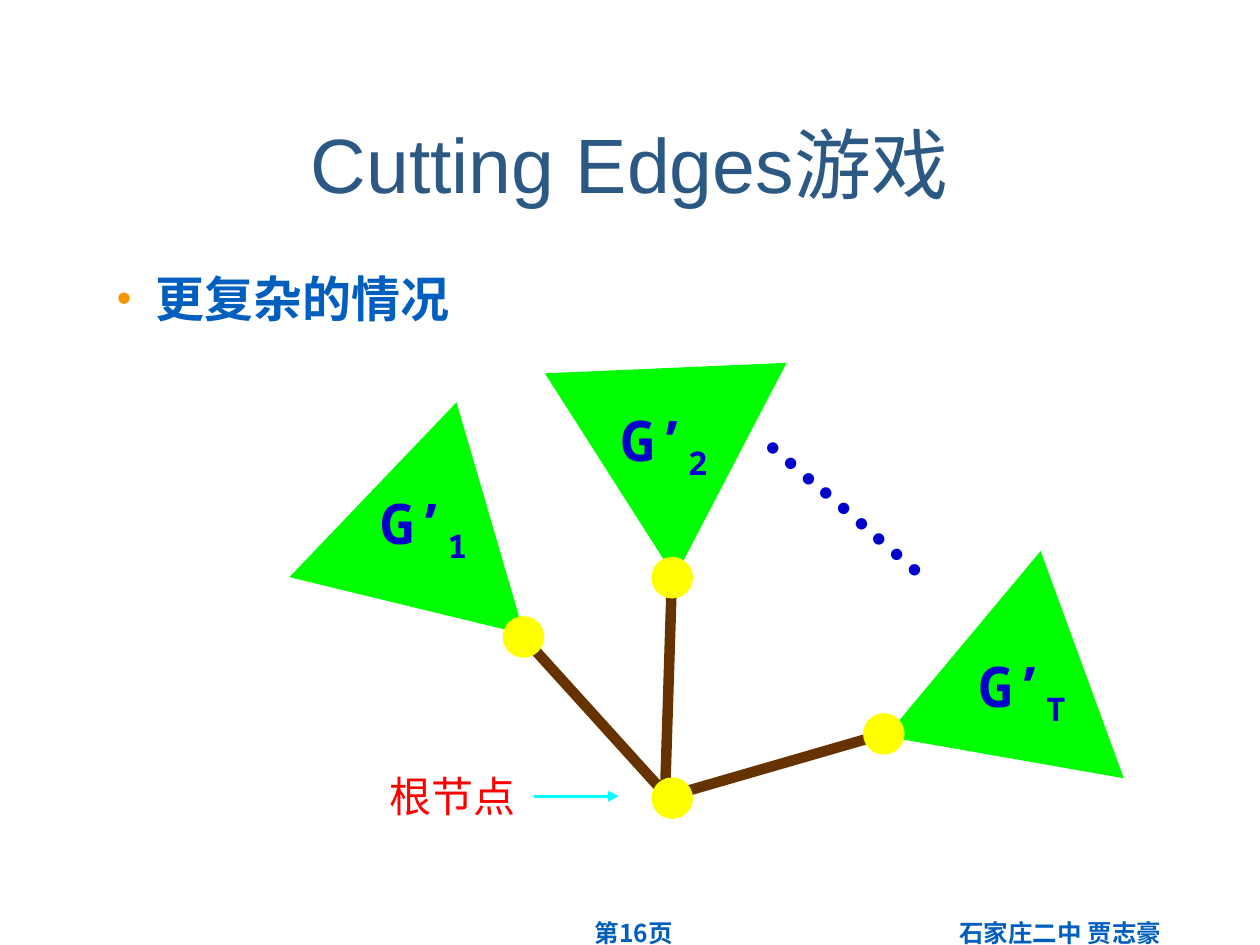
"""Build the slide on the Cutting Edges game with three subtrees joined at a root."""
from typing import NamedTuple

from lxml import etree
from pptx import Presentation
from pptx.dml.color import RGBColor
from pptx.enum import shapes, text
from pptx.oxml import ns
from pptx.util import Inches, Pt

COLORS = {
    "title": "2C5884", "text": "005FBE", "bullet": "F89400", "branch": "663300",
    "subtree": "00FF00", "node": "FFFF00", "label": "0000CC", "root": "FF0000",
    "arrow": "00FFFF",
}
NODE_SIZE = 0.33
TRIANGLE_SIZE = (1.92, 1.66)
LABEL_SIZE = (1.25, 0.71)


class Style(NamedTuple):
    font: str
    size: float
    color: str
    bold: bool = False


class Subtree(NamedTuple):
    subscript: str
    branch: tuple[float, float, float, float]
    triangle: tuple[float, float]
    rotation: float
    node: tuple[float, float]
    label: tuple[float, float]


class Caption(NamedTuple):
    content: str
    box: tuple[float, float, float, float]
    style: Style
    centered: bool = False
    rotation: float = 0


SUBTREES = [
    Subtree("1", (4.21, 5.12, 5.27, 6.29), (2.6, 3.63), 133.7, (3.99, 4.89), (2.92, 3.83)),
    Subtree("2", (5.33, 4.67, 5.28, 6.25), (4.36, 2.92), 177.5, (5.17, 4.42), (4.83, 3.17)),
    Subtree("T", (6.93, 5.85, 5.41, 6.29), (6.85, 4.73), 249.9, (6.85, 5.66), (7.67, 5.12)),
]
LABEL_STYLE = Style("Noto Sans Mono", 32, "label", True)
CAPTIONS = [
    Caption("石家庄二中 贾志豪", (6.83, 7.24, 3.17, 0.52), Style("Arial", 14, "text", True), True),
    Caption("第16页", (3.78, 7.24, 2.5, 0.52), Style("Noto Sans CJK KR", 14, "text", True), True),
    Caption("………", (5.83, 3.67, 2.33, 0.77), Style("Times New Roman", 40, "label", True),
            rotation=40.8),
    Caption("根节点", (2.99, 6.07, 1.25, 0.5), Style("Times New Roman", 24, "root")),
]


def rgb(name: str) -> RGBColor:
    """Look up a named colour."""
    return RGBColor.from_string(COLORS[name])


def format_paragraph(paragraph, style: Style, centered: bool = False) -> None:
    """Apply a text style and alignment."""
    paragraph.alignment = text.PP_ALIGN.CENTER if centered else text.PP_ALIGN.LEFT
    font = paragraph.font
    font.name, font.size, font.bold = style.font, Pt(style.size), style.bold
    font.color.rgb = rgb(style.color)


def add_caption(slide, caption: Caption):
    """Add a text box and return its paragraph."""
    box = slide.shapes.add_textbox(*map(Inches, caption.box))
    box.rotation = caption.rotation
    box.text_frame.word_wrap = True
    paragraph = box.text_frame.paragraphs[0]
    paragraph.text = caption.content
    format_paragraph(paragraph, caption.style, caption.centered)
    return paragraph


def add_filled(slide, kind, box: tuple[float, ...], color: str, rotation: float = 0) -> None:
    """Add a filled shape without an outline."""
    shape = slide.shapes.add_shape(kind, *map(Inches, box))
    shape.shadow.inherit = False
    shape.fill.solid()
    shape.fill.fore_color.rgb = rgb(color)
    shape.line.fill.background()
    shape.rotation = rotation


def add_node(slide, position: tuple[float, float]) -> None:
    """Add a round tree node."""
    add_filled(slide, shapes.MSO_SHAPE.OVAL, (*position, NODE_SIZE, NODE_SIZE), "node")


def add_line(slide, ends: tuple[float, ...], color: str, width: float, arrow: bool = False) -> None:
    """Add a straight line, optionally with an arrowhead at its end."""
    line = slide.shapes.add_connector(shapes.MSO_CONNECTOR.STRAIGHT, *map(Inches, ends))
    line.line.color.rgb = rgb(color)
    line.line.width = Pt(width)
    if arrow:
        etree.SubElement(line.line._get_or_add_ln(), ns.qn("a:tailEnd"), type="triangle")
    etree.SubElement(line._element.spPr, ns.qn("a:effectLst"))


def add_subtree(slide, subtree: Subtree) -> None:
    """Draw a branch with its subtree, node and label."""
    add_line(slide, subtree.branch, "branch", 6)
    add_filled(slide, shapes.MSO_SHAPE.ISOSCELES_TRIANGLE,
               (*subtree.triangle, *TRIANGLE_SIZE), "subtree", subtree.rotation)
    add_node(slide, subtree.node)
    paragraph = add_caption(slide, Caption("G’", (*subtree.label, *LABEL_SIZE), LABEL_STYLE))
    subscript = paragraph.add_run()
    subscript.text = subtree.subscript
    subscript.font._element.set("baseline", "-25000")


def add_title(slide) -> None:
    """Place and format the title."""
    title = slide.shapes.title
    title.left, title.top, title.width, title.height = map(Inches, (0.33, 0.67, 9.34, 1.25))
    title.text_frame.text = "Cutting Edges游戏"
    title.text_frame.vertical_anchor = text.MSO_ANCHOR.MIDDLE
    format_paragraph(title.text_frame.paragraphs[0], Style("Arial", 44, "title"), True)


def add_bullet(slide) -> None:
    """Add the bulleted statement."""
    style = Style("Arial", 28, "text", True)
    paragraph = add_caption(slide, Caption("更复杂的情况", (0.33, 2.08, 9.34, 0.65), style))
    properties = paragraph._p.get_or_add_pPr()
    properties.set("marL", str(Inches(0.81)))
    properties.set("indent", str(Inches(-0.31)))
    bullet_color = etree.Element(ns.qn("a:buClr"))
    etree.SubElement(bullet_color, ns.qn("a:srgbClr"), val=COLORS["bullet"])
    bullet_size = etree.Element(ns.qn("a:buSzPct"), val="85000")
    bullet_font = etree.Element(ns.qn("a:buFont"), typeface="Arial")
    bullet = etree.Element(ns.qn("a:buChar"), char="•")
    for index, element in enumerate((bullet_color, bullet_size, bullet_font, bullet)):
        properties.insert(index, element)


def main() -> None:
    """Build and save the presentation."""
    presentation = Presentation()
    presentation.slide_width, presentation.slide_height = Inches(10), Inches(7.5)
    slide = presentation.slides.add_slide(presentation.slide_layouts[5])
    add_title(slide)
    add_bullet(slide)
    for subtree in SUBTREES:
        add_subtree(slide, subtree)
    for caption in CAPTIONS:
        add_caption(slide, caption)
    add_line(slide, (4.24, 6.32, 4.91, 6.32), "arrow", 2, arrow=True)
    add_node(slide, (5.17, 6.17))
    presentation.save("out.pptx")


if __name__ == "__main__":
    main()
